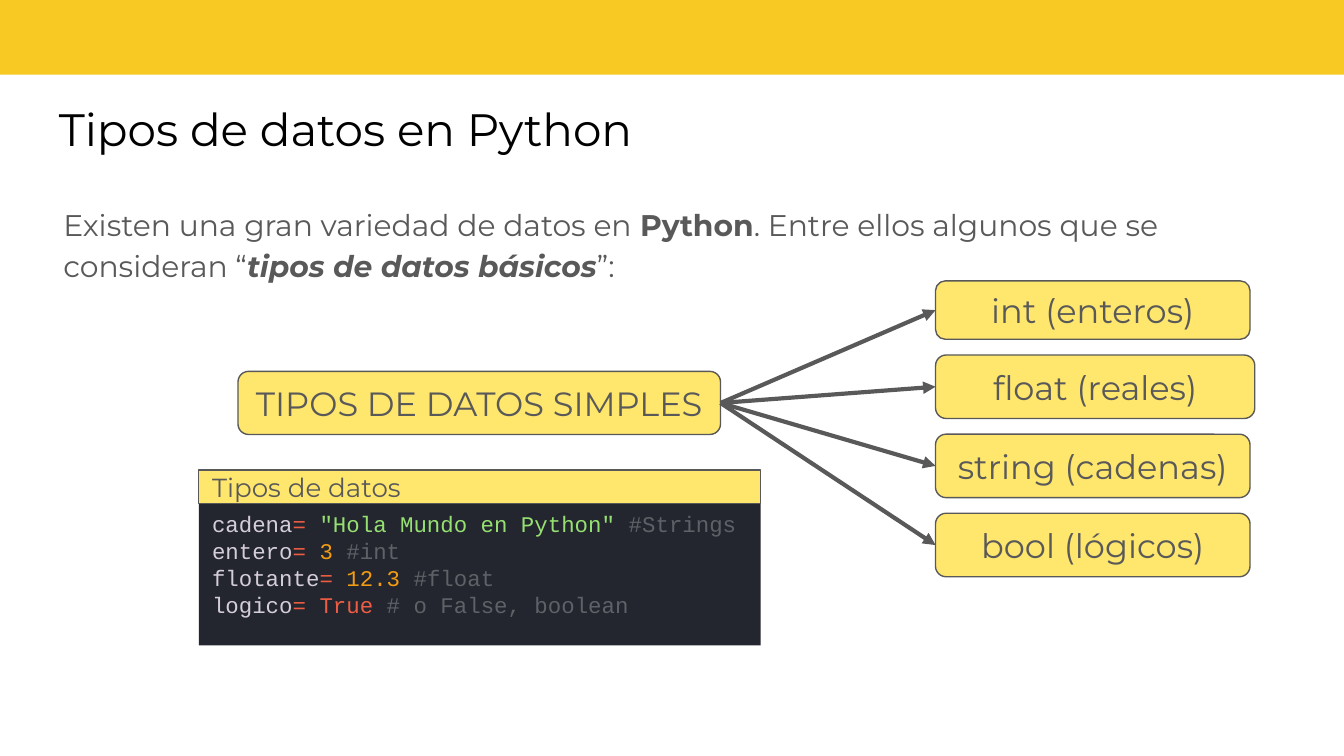
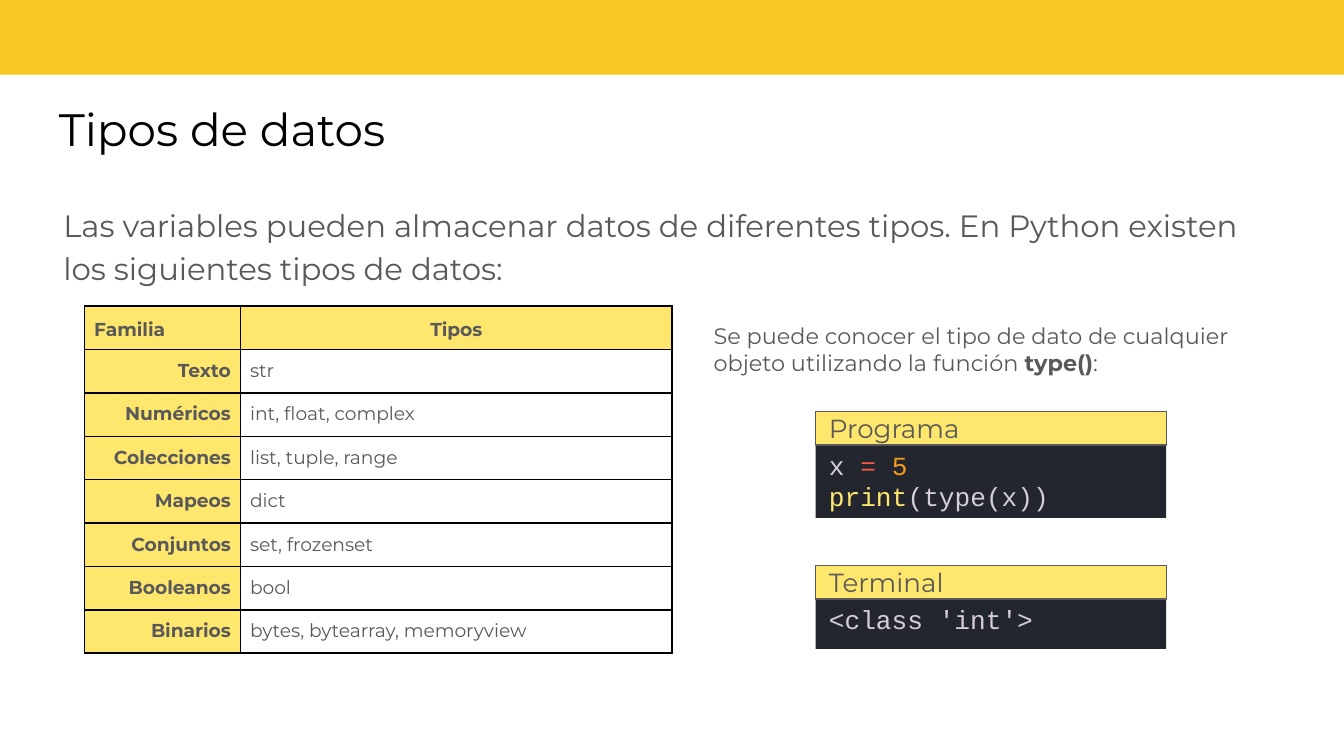
from dataclasses import dataclass

from lxml.etree import SubElement
from pptx import Presentation
from pptx.dml.color import RGBColor as Rgb
from pptx.enum.shapes import MSO_CONNECTOR as Link, MSO_SHAPE as Shape
from pptx.enum.text import MSO_ANCHOR as Anchor, PP_ALIGN as Align
from pptx.oxml.ns import qn
from pptx.util import Pt


@dataclass(frozen=True)
class Theme:
    sans: str = "Montserrat"
    mono: str = "Courier New"
    band: str = "F8C823"
    accent: str = "FFE66D"
    ink: str = "595959"
    black: str = "000000"
    code_back: str = "23262E"
    code_text: str = "D5CED9"
    operator: str = "EE5D43"
    string: str = "96E072"
    number: str = "F39C12"
    comment: str = "5F6167"
    title_size: float = 24.3
    node_size: float = 18
    panel_size: float = 14
    note_size: float = 12
    table_size: float = 10


theme = Theme()
BOLD = {"bold": True}
BOLD_ITALIC = {"bold": True, "italic": True}
NAME, OPERATOR, STRING, NUMBER, COMMENT, BUILTIN = (
    {"color": color} for color in (theme.code_text, theme.operator, theme.string,
                                   theme.number, theme.comment, theme.accent))


def write(frame, lines, size, color=theme.ink, font=theme.sans, bold=False,
          align=Align.LEFT, anchor=Anchor.TOP, spacing=None, inset=(7.2, 3.6)):
    """Fill a text frame; each line is a list of (text, style) runs."""
    frame.word_wrap = True
    frame.vertical_anchor = anchor
    frame.margin_left = frame.margin_right = Pt(inset[0])
    frame.margin_top = frame.margin_bottom = Pt(inset[1])
    for i, line in enumerate(lines):
        paragraph = frame.add_paragraph() if i else frame.paragraphs[0]
        paragraph.alignment = align
        if spacing:
            paragraph.line_spacing = spacing
        paragraph.font.name = font
        paragraph.font.size = Pt(size)
        paragraph.font.bold = bold
        paragraph.font.color.rgb = Rgb.from_string(color)
        for text, style in line:
            run = paragraph.add_run()
            run.text = text
            if "color" in style:
                run.font.color.rgb = Rgb.from_string(style["color"])
            if "bold" in style:
                run.font.bold = True
            if "italic" in style:
                run.font.italic = True


def add_box(slide, kind, at, fill, outlined=False):
    """Draw a flat preset shape, with the thin grey outline if asked for."""
    box = slide.shapes.add_shape(kind, *map(Pt, at))
    box.shadow.inherit = False
    box.fill.solid()
    box.fill.fore_color.rgb = Rgb.from_string(fill)
    if outlined:
        box.line.color.rgb = Rgb.from_string(theme.ink)
        box.line.width = Pt(0.75)
    else:
        box.line.fill.background()
    return box


prs = Presentation()
prs.slide_width, prs.slide_height = Pt(720), Pt(405)

# Band, title and introduction of each slide
openings = [
    ("Tipos de datos en Python", 16,
     [("Existen una gran variedad de datos en ", {}), ("Python", BOLD),
      (". Entre ellos algunos que se consideran “", {}),
      ("tipos de datos básicos", BOLD_ITALIC), ("”:", {})]),
    ("Tipos de datos", 16.5,
     [("Las variables pueden almacenar datos de diferentes tipos. "
       "En Python existen los siguientes tipos de datos:", {})]),
]
slides = []
for heading, intro_size, intro in openings:
    slide = prs.slides.add_slide(prs.slide_layouts[6])
    slides.append(slide)
    add_box(slide, Shape.RECTANGLE, (-1, -4, 722, 44), theme.band)
    title = slide.shapes.add_textbox(Pt(24.5), Pt(46.8), Pt(670), Pt(45.4))
    write(title.text_frame, [[(heading, {})]], theme.title_size, theme.black,
          inset=(7.2, 7.2))
    introduction = slide.shapes.add_textbox(Pt(34), Pt(100.8), Pt(651.6), Pt(54))
    write(introduction.text_frame, [intro], intro_size, spacing=1.15, inset=(0, 7.2))
basics, families = slides

# Simple types: one root with an arrow to each type
root = add_box(basics, Shape.FLOWCHART_ALTERNATE_PROCESS,
               (127.5, 199, 258.5, 33.8), theme.accent, True)
write(root.text_frame, [[("TIPOS DE DATOS SIMPLES", {})]], theme.node_size,
      align=Align.CENTER, anchor=Anchor.MIDDLE)
top = 150.5
for label, width, height in [("int (enteros)", 168.5, 31.3),
                             ("float (reales)", 171, 34),
                             ("string (cadenas)", 168.5, 34),
                             ("bool (lógicos)", 168.5, 34)]:
    simple_type = add_box(basics, Shape.FLOWCHART_ALTERNATE_PROCESS,
                          (501.2, top, width, height), theme.accent, True)
    write(simple_type.text_frame, [[(label, {})]], theme.node_size,
          align=Align.CENTER, anchor=Anchor.MIDDLE)
    top += height + 8.4
    arrow = basics.shapes.add_connector(Link.STRAIGHT, 0, 0, 0, 0)
    arrow.begin_connect(root, 3)
    arrow.end_connect(simple_type, 1)
    arrow.line.color.rgb = Rgb.from_string(theme.ink)
    arrow.line.width = Pt(2.25)
    SubElement(arrow.line._get_or_add_ln(), qn("a:tailEnd"), type="triangle")
    SubElement(arrow._element.spPr, qn("a:effectLst"))

# Table of type families
rows = [("Familia", "Tipos"),
        ("Texto", "str"),
        ("Numéricos", "int, float, complex"),
        ("Colecciones", "list, tuple, range"),
        ("Mapeos", "dict"),
        ("Conjuntos", "set, frozenset"),
        ("Booleanos", "bool"),
        ("Binarios", "bytes, bytearray, memoryview")]
ROW_HEIGHT = 23.25
widths = (83.5, 231.3)
table = families.shapes.add_table(len(rows), 2, Pt(45.3), Pt(164), Pt(sum(widths)),
                                  Pt(ROW_HEIGHT * len(rows))).table
table.first_row = table.horz_banding = False
for column, width in zip(table.columns, widths):
    column.width = Pt(width)
for r, row in enumerate(rows):
    table.rows[r].height = Pt(ROW_HEIGHT)
    for c, text in enumerate(row):
        cell = table.cell(r, c)
        is_label = r == 0 or c == 0
        if r == 0:
            align = (Align.LEFT, Align.CENTER)[c]
        else:
            align = (Align.RIGHT, Align.LEFT)[c]
        write(cell.text_frame, [[(text, {})]], theme.table_size, bold=is_label,
              align=align, spacing=1.15)
        cell.margin_left = cell.margin_right = Pt(5.2)
        cell.margin_top = cell.margin_bottom = Pt(3.6)
        cell.vertical_anchor = Anchor.TOP if r else Anchor.MIDDLE
        for side in "LRTB":
            border = SubElement(cell._tc.get_or_add_tcPr(), qn(f"a:ln{side}"),
                                w=str(Pt(0.96)))
            SubElement(SubElement(border, qn("a:solidFill")), qn("a:srgbClr"),
                       val=theme.black)
        if is_label:
            cell.fill.solid()
            cell.fill.fore_color.rgb = Rgb.from_string(theme.accent)
        else:
            cell.fill.background()

# Note on type()
note = families.shapes.add_textbox(Pt(375.2), Pt(165.6), Pt(310.3), Pt(44))
write(note.text_frame,
      [[("Se puede conocer el tipo de dato de cualquier objeto utilizando la función ", {}),
        ("type()", BOLD), (":", {})]],
      theme.note_size, inset=(7.2, 7.2))

# Code panels: dark body under a yellow caption
panels = [
    (basics, "Tipos de datos", (106.5, 251.8, 301), (269.8, 76), 12,
     [[("cadena", NAME), ("= ", OPERATOR), ('"Hola Mundo en Python" ', STRING),
       ("#Strings", COMMENT)],
      [("entero", NAME), ("= ", OPERATOR), ("3 ", NUMBER), ("#int", COMMENT)],
      [("flotante", NAME), ("= ", OPERATOR), ("12.3 ", NUMBER), ("#float", COMMENT)],
      [("logico", NAME), ("= True ", OPERATOR), ("# o False, boolean", COMMENT)]]),
    (families, "Programa", (437, 220.5, 187.8), (237, 40.5), 14,
     [[("x ", NAME), ("= ", OPERATOR), ("5", NUMBER)],
      [("print", BUILTIN), ("(type(x))", NAME)]]),
    (families, "Terminal", (437, 303, 187.8), (319.5, 28.2), 14,
     [[("<class 'int'>", NAME)]]),
]
for slide, label, (left, top, width), (code_top, code_height), size, code in panels:
    body = add_box(slide, Shape.RECTANGLE, (left, code_top, width, code_height),
                   theme.code_back)
    write(body.text_frame, code, size, theme.code_text, theme.mono)
    caption = add_box(slide, Shape.RECTANGLE, (left, top, width, 18), theme.accent, True)
    write(caption.text_frame, [[(label, {})]], theme.panel_size, anchor=Anchor.MIDDLE)

prs.save("out.pptx")
